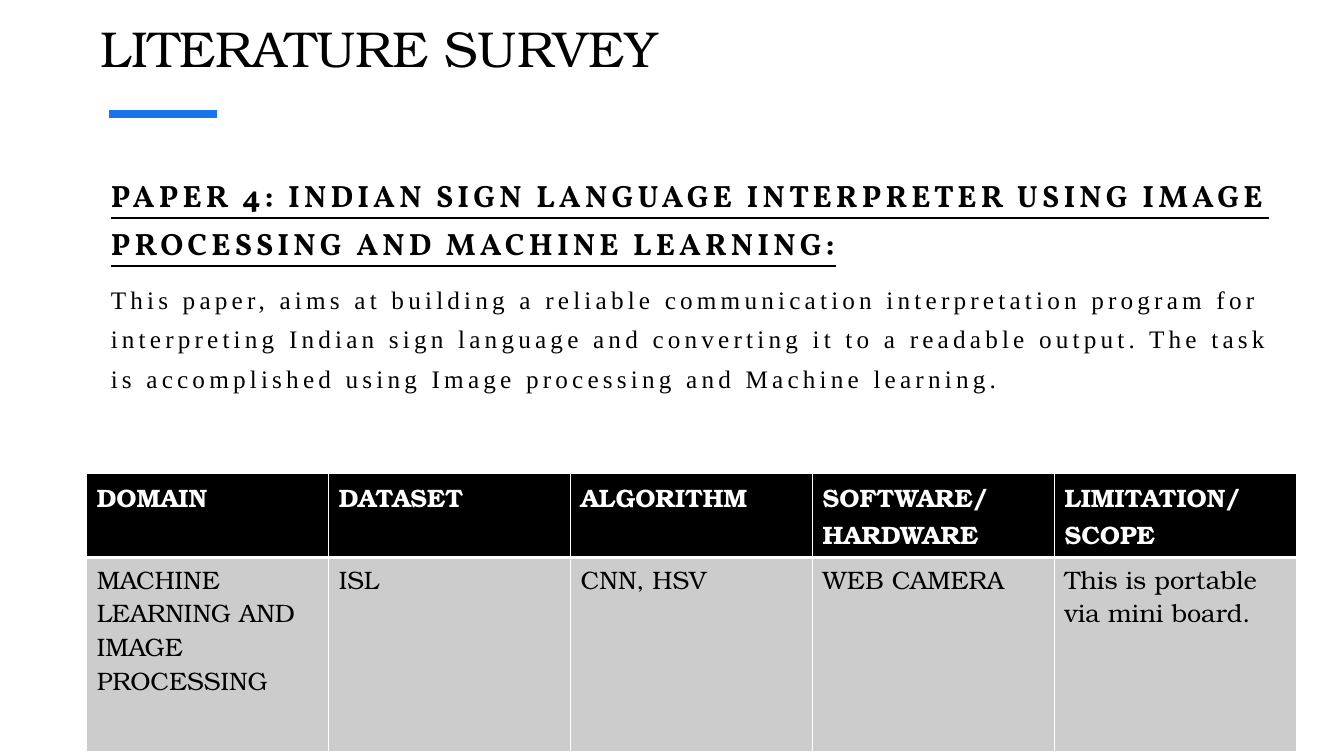
from lxml import etree
from pptx import Presentation
from pptx.dml.color import RGBColor
from pptx.enum.shapes import MSO_CONNECTOR
from pptx.enum.text import MSO_ANCHOR, MSO_AUTO_SIZE, PP_ALIGN
from pptx.oxml.ns import qn
from pptx.util import Emu, Pt

STRAIGHT = MSO_CONNECTOR.STRAIGHT
TOP = MSO_ANCHOR.TOP
NO_FIT = MSO_AUTO_SIZE.NONE
LEFT = PP_ALIGN.LEFT

COLORS = {
    "text": "000000",
    "accent": "1973EB",
    "header": "000000",
    "cell": "CCCCCC",
    "white": "FFFFFF",
}
SERIF = "TeX Gyre Bonum"
HEADING = ("PAPER 4: INDIAN SIGN LANGUAGE INTERPRETER USING IMAGE "
           "PROCESSING AND MACHINE LEARNING:")
SUMMARY = ("This paper, aims at building a reliable communication interpretation "
           "program for interpreting Indian sign language and converting it to a "
           "readable output. The task is accomplished using Image processing and "
           "Machine learning.")
SURVEY = [
    ["DOMAIN", "DATASET", "ALGORITHM", "SOFTWARE/ HARDWARE", "LIMITATION/ SCOPE"],
    ["MACHINE LEARNING AND IMAGE PROCESSING", "ISL", "CNN, HSV", "WEB CAMERA",
     "This is portable via mini board."],
]


def px(n):
    return Emu(n * 9144)


def rgb(name):
    return RGBColor.from_string(COLORS[name])


def write(p, text, font=SERIF, size=18, color="text", bold=False,
          underline=False, tracking=0, spacing=None, before=0):
    p.alignment = LEFT
    p.space_before = Pt(before)
    if spacing:
        p.line_spacing = spacing
    r = p.add_run()
    r.text = text
    r.font.name = font
    r.font.size = Pt(size)
    r.font.bold = bold
    r.font.underline = underline
    r.font.color.rgb = rgb(color)
    if tracking:
        r.font._element.set("spc", str(tracking * 100))


class Deck:
    def __init__(self, width, height):
        self.prs = Presentation()
        self.prs.slide_width = px(width)
        self.prs.slide_height = px(height)
        self.s = self.prs.slides.add_slide(self.prs.slide_layouts[5])

    def frame(self, sp):
        tf = sp.text_frame
        tf.word_wrap = True
        tf.auto_size = NO_FIT
        tf.vertical_anchor = TOP
        tf.margin_left = tf.margin_right = px(10)
        tf.margin_top = tf.margin_bottom = 0
        return tf

    def title(self, text, x, y, w, h):
        sp = self.s.shapes.title
        sp.left, sp.top, sp.width, sp.height = px(x), px(y), px(w), px(h)
        write(self.frame(sp).paragraphs[0], text, size=36)

    def rule(self, x1, y1, x2, y2, color, weight):
        line = self.s.shapes.add_connector(STRAIGHT, px(x1), px(y1), px(x2), px(y2))
        line.line.color.rgb = rgb(color)
        line.line.width = Pt(weight)
        etree.SubElement(line._element.spPr, qn("a:effectLst"))

    def text(self, paragraphs, x, y, w, h):
        tf = self.frame(self.s.shapes.add_textbox(px(x), px(y), px(w), px(h)))
        for i, (text, style) in enumerate(paragraphs):
            p = tf.add_paragraph() if i else tf.paragraphs[0]
            write(p, text, **style)

    def borders(self, cell, widths):
        tcPr = cell._tc.get_or_add_tcPr()
        for i, (side, weight) in enumerate(widths.items()):
            ln = etree.Element(qn(f"a:ln{side}"), w=str(Pt(weight)))
            fill = etree.SubElement(ln, qn("a:solidFill"))
            etree.SubElement(fill, qn("a:srgbClr"), val=COLORS["white"])
            tcPr.insert(i, ln)

    def table(self, rows, x, y, w, heights):
        table = self.s.shapes.add_table(len(rows), len(rows[0]), px(x), px(y),
                                        px(w), px(sum(heights))).table
        table.horz_banding = False
        for i, (row, height) in enumerate(zip(rows, heights)):
            header = i == 0
            table.rows[i].height = px(height)
            for j, text in enumerate(row):
                cell = table.cell(i, j)
                cell.fill.solid()
                cell.fill.fore_color.rgb = rgb("header" if header else "cell")
                write(cell.text_frame.paragraphs[0], text, bold=header,
                      color="white" if header else "text")
                self.borders(cell, {"L": 1, "R": 1, "T": 1 if header else 3,
                                    "B": 3 if header else 1})

    def save(self):
        self.prs.save("out.pptx")


def main():
    deck = Deck(1333, 750)
    deck.rule(108, 113, 215, 113, "accent", 6)
    deck.title("LITERATURE SURVEY", 90, 17, 1138, 56)
    deck.text([
        (HEADING, dict(font="Vollkorn", size=22, bold=True, underline=True,
                       tracking=3, spacing=1.3)),
        (SUMMARY, dict(font="Times New Roman", tracking=3, spacing=1.3, before=10)),
    ], 100, 164, 1175, 240)
    deck.table(SURVEY, 86, 470, 1200, [62, 193])
    deck.save()


if __name__ == "__main__":
    main()
